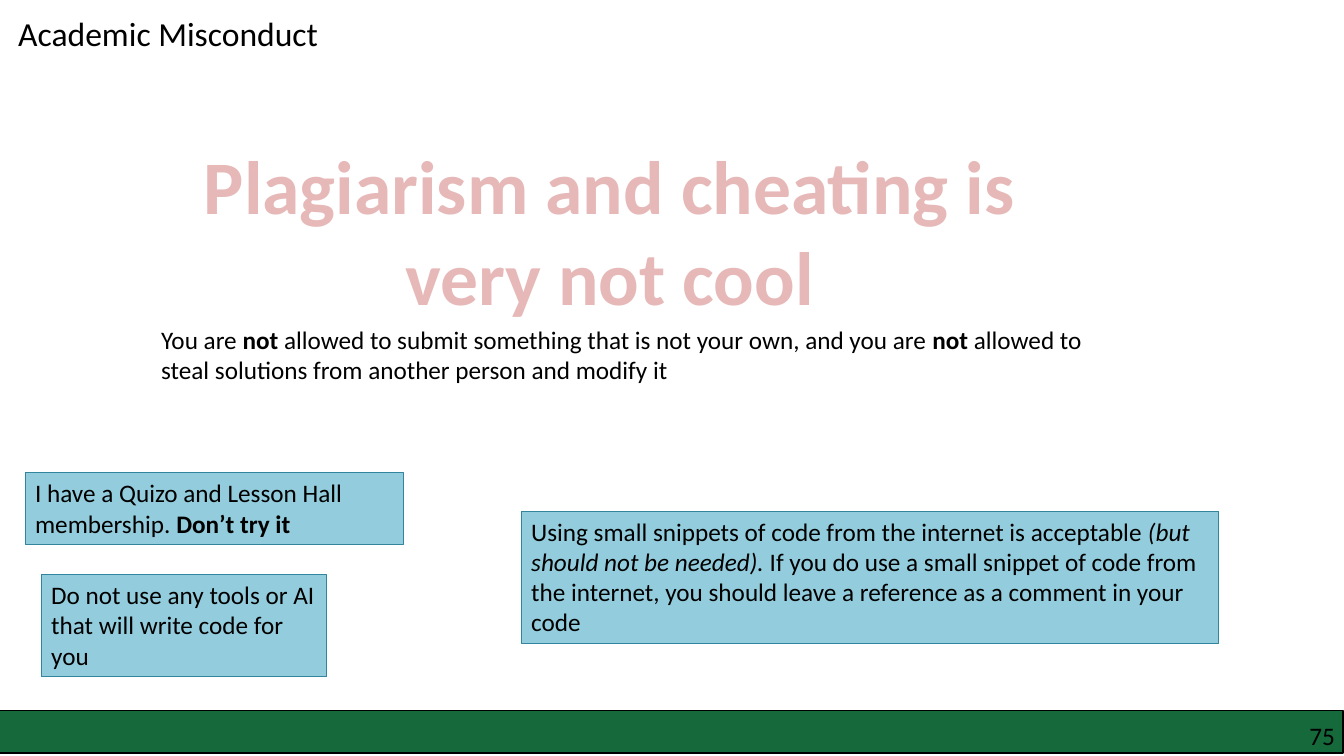
from pptx import Presentation
from pptx.dml.color import RGBColor
from pptx.enum.shapes import MSO_SHAPE
from pptx.enum.text import MSO_ANCHOR, MSO_AUTO_SIZE, PP_ALIGN
from pptx.util import Inches, Pt

RECTANGLE = MSO_SHAPE.RECTANGLE
TOP = MSO_ANCHOR.TOP
NO_AUTOFIT = MSO_AUTO_SIZE.NONE
LEFT, CENTER, RIGHT = PP_ALIGN.LEFT, PP_ALIGN.CENTER, PP_ALIGN.RIGHT

BLACK = RGBColor(0x00, 0x00, 0x00)
GREEN = RGBColor(0x15, 0x69, 0x3B)
PINK = RGBColor(0xE6, 0xB9, 0xB8)
LIGHT_BLUE = RGBColor(0x93, 0xCD, 0xDD)
TEAL = RGBColor(0x31, 0x85, 0x9C)

FONT = "Calibri"
TITLE_ONLY = 5

RULES = [
    ((0.25, 4.69, 3.75, 0.71),
     ["I have a Quizo and Lesson Hall membership. ", ("Don’t try it", "bold")]),
    ((0.41, 5.7, 2.83, 1.01),
     ["Do not use any tools or AI that will write code for you"]),
    ((5.17, 5.07, 6.92, 1.31),
     ["Using small snippets of code from the internet is acceptable ",
      ("(but should not be needed). ", "italic"),
      "If you do use a small snippet of code from the internet, "
      "you should leave a reference as a comment in your code"]),
]


def write(shape, pieces, size=18, color=BLACK, align=LEFT, wrap=True):
    """Fill a shape with one paragraph; a piece is text or (text, style)."""
    frame = shape.text_frame
    frame.word_wrap = wrap
    frame.auto_size = NO_AUTOFIT
    frame.vertical_anchor = TOP
    paragraph = frame.paragraphs[0]
    paragraph.alignment = align
    paragraph.font.name = FONT
    paragraph.font.size = Pt(size)
    paragraph.font.color.rgb = color
    for piece in pieces:
        text, style = (piece, None) if isinstance(piece, str) else piece
        run = paragraph.add_run()
        run.text = text
        if style:
            setattr(run.font, style, True)


def add_title(slide, text):
    title = slide.shapes.title
    title.left, title.top = Inches(0.08), Inches(0.08)
    title.width, title.height = Inches(3.48), Inches(0.5)
    write(title, [text], size=24, wrap=False)


def add_text(slide, box, pieces, **style):
    shape = slide.shapes.add_textbox(*map(Inches, box))
    write(shape, pieces, **style)
    return shape


def add_rectangle(slide, box, fill, line, line_width):
    shape = slide.shapes.add_shape(RECTANGLE, *map(Inches, box))
    shape.shadow.inherit = False
    shape.fill.solid()
    shape.fill.fore_color.rgb = fill
    shape.line.color.rgb = line
    shape.line.width = Pt(line_width)
    return shape


def add_footer(slide, number):
    add_rectangle(slide, (-0.01, 7.05, 13.33, 0.42), GREEN, BLACK, 1)
    shape = add_text(slide, (10.17, 7.15, 3.07, 0.3), [number], align=RIGHT)
    frame = shape.text_frame
    frame.margin_left = frame.margin_right = 0
    frame.margin_top = frame.margin_bottom = 0


def main():
    presentation = Presentation()
    presentation.slide_width = Inches(13.33)
    presentation.slide_height = Inches(7.5)
    slide = presentation.slides.add_slide(presentation.slide_layouts[TITLE_ONLY])

    add_title(slide, "Academic Misconduct")
    add_footer(slide, "75")
    add_text(slide, (1.75, 1.33, 8.59, 1.93),
             [("Plagiarism and cheating is very not cool", "bold")],
             size=54, color=PINK, align=CENTER)
    add_text(slide, (1.5, 3.17, 9.67, 0.71),
             ["You are ", ("not ", "bold"),
              "allowed to submit something that is not your own, and you are ",
              ("not", "bold"),
              " allowed to steal solutions from another person and modify it"])
    for box, pieces in RULES:
        write(add_rectangle(slide, box, LIGHT_BLUE, TEAL, 0.75), pieces)

    presentation.save("out.pptx")


if __name__ == "__main__":
    main()
